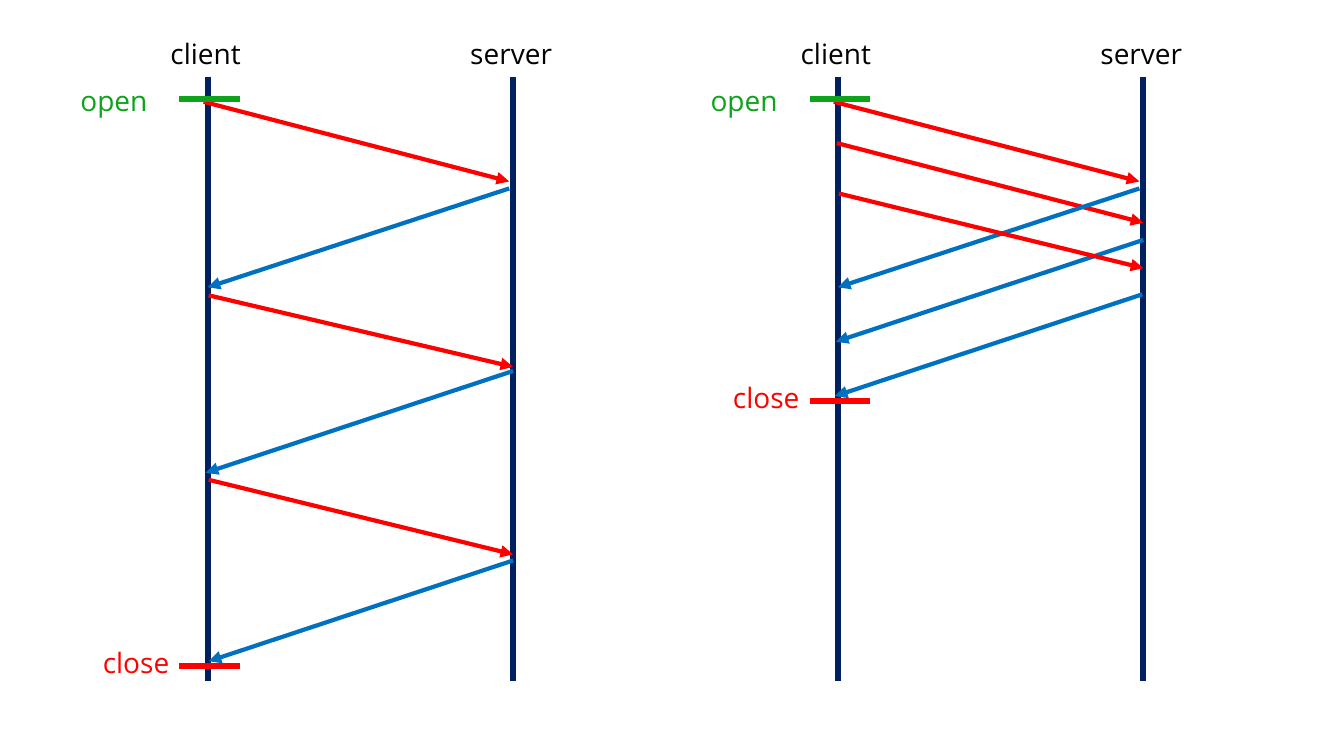
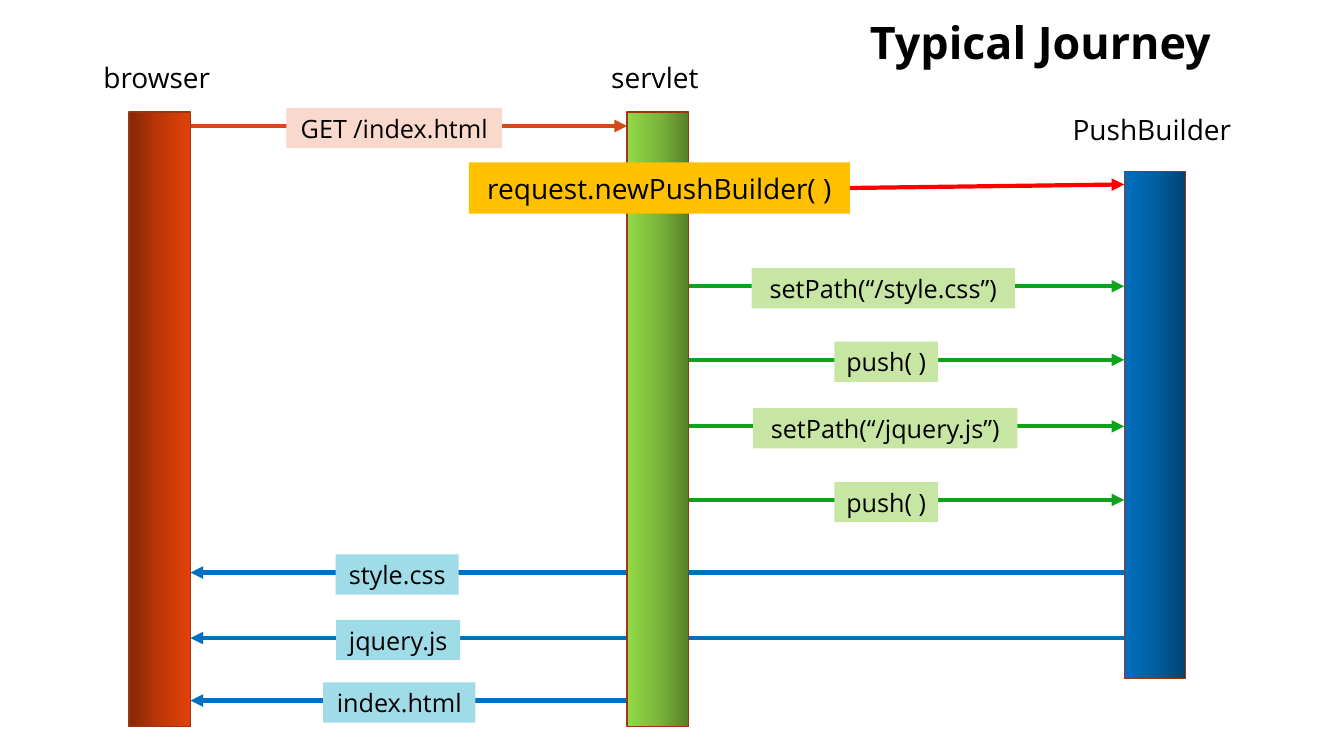
from copy import deepcopy
from lxml import etree
from pptx import Presentation
from pptx.dml.color import RGBColor
from pptx.enum import shapes, text
from pptx.oxml import ns
from pptx.util import Inches, Pt

FONT = "Open Sans"
BLACK, NAVY, RED = "000000", "002060", "FF0000"
BLUE, GREEN, ORANGE = "0070C0", "0DA31B", "D34817"
LIME, AQUA, PINK, GOLD = "C7E6A4", "A0DCE8", "FAD9CD", "FFC000"
EDGE = "9C3511"

LIVES = [("client", 2.06), ("server", 5.09)]
PANELS = [
    (0, 6.61, [
        (RED, 2.02, 1.01, 5.05, 1.8), (BLUE, 5.05, 1.87, 2.06, 2.85),
        (RED, 2.07, 2.93, 5.09, 3.64), (BLUE, 5.09, 3.68, 2.04, 4.69),
        (RED, 2.07, 4.76, 5.09, 5.5), (BLUE, 5.09, 5.56, 2.07, 6.56),
    ]),
    (6.25, 3.98, [
        (RED, 2.05, 1.42, 5.09, 2.21), (RED, 2.02, 1.01, 5.05, 1.8),
        (BLUE, 5.05, 1.87, 2.06, 2.85), (BLUE, 5.09, 2.38, 2.04, 3.39),
        (RED, 2.07, 1.92, 5.09, 2.66), (BLUE, 5.08, 2.92, 2.03, 3.93),
    ]),
]

TITLE = "Typical Journey"
WIDE = 0.61
BARS = {
    "browser": (1.28, 1.11, 6.1, 0.55, ("852705", "BE3708", "E14109")),
    "servlet": (6.22, 1.11, 6.1, 0.55, ("92DA46", "7BB73B", "57812A")),
    "PushBuilder": (11.15, 1.7, 5.03, 1.06, ("0070C0", "005EA2", "004272")),
}
CALLS = [
    ("servlet", "PushBuilder", 2.84, "setPath(“/style.css”)", 8.76, 2.61, GREEN, LIME),
    ("servlet", "PushBuilder", 3.57, "push( )", 8.79, 1.03, GREEN, LIME),
    ("servlet", "PushBuilder", 4.23, "setPath(“/jquery.js”)", 8.78, 2.62, GREEN, LIME),
    ("servlet", "PushBuilder", 4.96, "push( )", 8.79, 1.03, GREEN, LIME),
    ("PushBuilder", "browser", 5.68, "style.css", 3.94, 1.22, BLUE, AQUA),
    ("PushBuilder", "browser", 6.33, "jquery.js", 3.95, 1.23, BLUE, AQUA),
    ("browser", "servlet", 1.25, "GET /index.html", 3.91, 2.14, ORANGE, PINK),
    ("servlet", "browser", 6.95, "index.html", 3.96, 1.51, BLUE, AQUA),
]


def rgb(code):
    return RGBColor.from_string(code)


def line(slide, x1, y1, x2, y2, color, width=3, head=False):
    link = slide.shapes.add_connector(
        shapes.MSO_CONNECTOR.STRAIGHT, *[Inches(n) for n in (x1, y1, x2, y2)])
    link.line.color.rgb = rgb(color)
    link.line.width = Pt(width)
    if head:
        tail = etree.SubElement(link.line._get_or_add_ln(), ns.qn("a:tailEnd"))
        tail.set("type", "triangle")
    etree.SubElement(link._element.spPr, ns.qn("a:effectLst"))
    return link


def write(shape, words, size, color=BLACK, bold=False):
    frame = shape.text_frame
    frame.text = words
    frame.word_wrap = False
    frame.vertical_anchor = text.MSO_ANCHOR.MIDDLE
    para = frame.paragraphs[0]
    para.alignment = text.PP_ALIGN.CENTER
    font = para.font
    font.name, font.size, font.bold = FONT, Pt(size), bold
    font.color.rgb = rgb(color)


def label(slide, words, mid, top, wide=1.2, high=0.44, size=20, color=BLACK, bold=False):
    box = slide.shapes.add_textbox(
        Inches(mid - wide / 2), Inches(top), Inches(wide), Inches(high))
    write(box, words, size, color, bold)


def rect(slide, left, top, wide, high):
    shape = slide.shapes.add_shape(
        shapes.MSO_SHAPE.RECTANGLE, *[Inches(n) for n in (left, top, wide, high)])
    shape.shadow.inherit = False
    return shape


def tag(slide, words, mid, top, wide, high, size, color):
    shape = rect(slide, mid - wide / 2, top, wide, high)
    shape.fill.solid()
    shape.fill.fore_color.rgb = rgb(color)
    shape.line.fill.background()
    write(shape, words, size)
    return shape


def bar(slide, left, top, high, shades):
    shape = rect(slide, left, top, WIDE, high)
    shape.fill.gradient()
    shape.fill.gradient_angle = 0
    stops = shape._element.spPr.find(".//" + ns.qn("a:gsLst"))
    stops.insert(1, deepcopy(stops[0]))
    for stop, shade, place in zip(shape.fill.gradient_stops, shades, (0, 0.5, 1)):
        stop.color.rgb = rgb(shade)
        stop.position = place
    shape.line.color.rgb = rgb(EDGE)
    shape.line.width = Pt(1)


def timing(slide):
    for left, close, arrows in PANELS:
        for name, x in LIVES:
            line(slide, left + x, 0.76, left + x, 6.76, NAVY, 4.5)
            label(slide, name, left + x - 0.02, 0.31)
        for color, x1, y1, x2, y2 in arrows:
            line(slide, left + x1, y1, left + x2, y2, color, head=True)
        for name, mid, top, y, color in (
                ("open", 1.13, 0.78, 0.98, GREEN),
                ("close", 1.35, close - 0.26, close, RED)):
            label(slide, name, left + mid, top, color=color)
            line(slide, left + 1.78, y, left + 2.38, y, color, 4.5)


def journey(slide):
    label(slide, TITLE, 10.32, 0.09, 5.6, 0.64, 32, bold=True)
    for start, end, y, words, mid, wide, color, fill in CALLS:
        x1, x2 = BARS[start][0], BARS[end][0]
        if x1 < x2:
            x1 += WIDE
        else:
            x2 += WIDE
        line(slide, x1, y, x2, y, color, head=True)
        tag(slide, words, mid, y - 0.18, wide, 0.4, 18, fill)
    for name, (left, top, high, above, shades) in BARS.items():
        bar(slide, left, top, high, shades)
        label(slide, name, left + WIDE / 2 - 0.03, above, 1.85)
    box = tag(slide, "request.newPushBuilder( )", 6.54, 1.61, 3.78, 0.51, 20, GOLD)
    link = line(slide, 8.43, 1.87, BARS["PushBuilder"][0], 1.83, RED, head=True)
    link.begin_connect(box, 3)


def main():
    deck = Presentation()
    deck.slide_width, deck.slide_height = Inches(13.33), Inches(7.5)
    for draw in (timing, journey):
        draw(deck.slides.add_slide(deck.slide_layouts[6]))
    deck.save("out.pptx")


if __name__ == "__main__":
    main()
